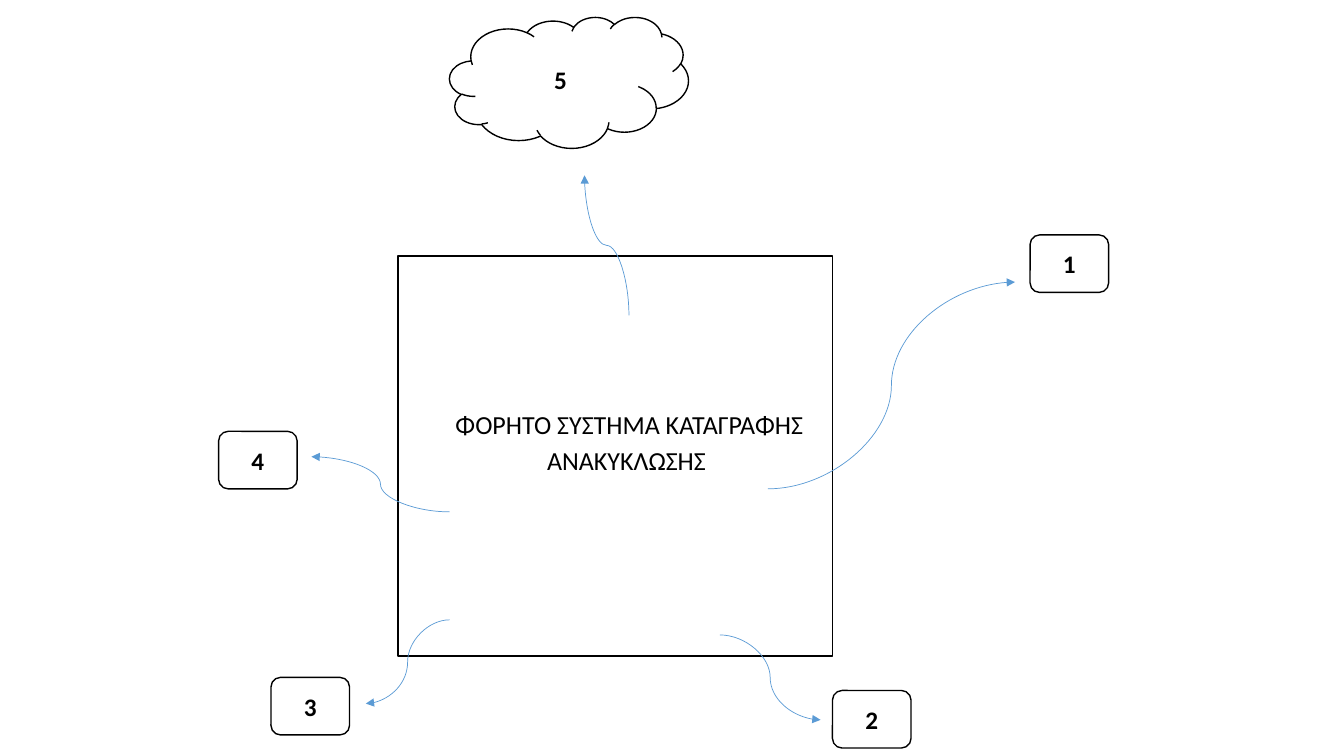
import pptx
import pptx.util
import pptx.dml.color
import pptx.enum.shapes
import pptx.enum.text
import pptx.oxml
import pptx.oxml.ns

Cm = pptx.util.Cm
Pt = pptx.util.Pt
SHAPE = pptx.enum.shapes.MSO_SHAPE
qn = pptx.oxml.ns.qn


def rgb(value):
    return pptx.dml.color.RGBColor.from_string(value)


class Diagram:
    font = "Calibri"
    ink = "000000"
    paper = "FFFFFF"
    accent = "5B9BD5"

    def __init__(self, prs):
        self.s = prs.slides.add_slide(prs.slide_layouts[0])
        title = self.s.shapes.title.element
        title.getparent().remove(title)

    def style(self, p, size, bold=False):
        p.alignment = pptx.enum.text.PP_ALIGN.CENTER
        p.font.name = self.font
        p.font.size = Pt(size)
        p.font.bold = bold
        p.font.color.rgb = rgb(self.ink)

    def box(self, kind, x, y, w, h, label=None):
        sp = self.s.shapes.add_shape(kind, Cm(x), Cm(y), Cm(w), Cm(h))
        sp.shadow.inherit = False
        sp.fill.solid()
        sp.fill.fore_color.rgb = rgb(self.paper)
        sp.line.color.rgb = rgb(self.ink)
        sp.line.width = Pt(1)
        if label:
            tf = sp.text_frame
            tf.vertical_anchor = pptx.enum.text.MSO_ANCHOR.MIDDLE
            tf.text = label
            self.style(tf.paragraphs[0], 18, bold=True)

    def caption(self, x, y, w, h, lines):
        sp = self.s.placeholders[1]
        sp.left, sp.top, sp.width, sp.height = Cm(x), Cm(y), Cm(w), Cm(h)
        self.s.shapes.element.append(sp.element)
        tf = sp.text_frame
        tf.word_wrap = True
        tf.auto_size = pptx.enum.text.MSO_AUTO_SIZE.NONE
        tf.vertical_anchor = pptx.enum.text.MSO_ANCHOR.TOP
        tf.text = "\n".join(lines)
        for p in tf.paragraphs:
            self.style(p, 18.6)
            p.line_spacing = 0.7
            p.space_before = Pt(10)

    def arrow(self, start, end, upright=False):
        if upright:
            cx, cy = (start[0] + end[0]) / 2, (start[1] + end[1]) / 2
            start, end = [(cx - (y - cy), cy + (x - cx)) for x, y in (start, end)]
        cxn = self.s.shapes.add_connector(
            pptx.enum.shapes.MSO_CONNECTOR.CURVE, *[Cm(v) for v in (*start, *end)])
        cxn.line.color.rgb = rgb(self.accent)
        cxn.line.width = Pt(0.5)
        spPr = cxn.element.spPr
        if upright:
            spPr.find(qn("a:xfrm")).set("rot", str(270 * 60000))
        tail = pptx.oxml.parse_xml(
            '<a:tailEnd %s type="triangle"/>' % pptx.oxml.ns.nsdecls("a"))
        spPr.find(qn("a:ln")).append(tail)
        spPr.append(pptx.oxml.parse_xml(
            "<a:effectLst %s/>" % pptx.oxml.ns.nsdecls("a")))


def main():
    prs = pptx.Presentation()
    prs.slide_width, prs.slide_height = Cm(33.87), Cm(19.05)
    d = Diagram(prs)

    d.box(SHAPE.RECTANGLE, 10.03, 6.45, 10.95, 10.08)
    d.caption(10.24, 10.39, 11.25, 1.78,
              ["ΦΟΡΗΤΟ ΣΥΣΤΗΜΑ ΚΑΤΑΓΡΑΦΗΣ", "ΑΝΑΚΥΚΛΩΣΗΣ "])

    corners = [(25.96, 5.92), (20.98, 17.4), (6.83, 17.07), (5.51, 10.87)]
    for number, (x, y) in enumerate(corners, 1):
        d.box(SHAPE.FLOWCHART_ALTERNATE_PROCESS, x, y, 1.98, 1.45, str(number))
    d.box(SHAPE.CLOUD, 11.33, 0.43, 6.02, 3.3, "5")

    d.arrow((19.35, 12.32), (25.58, 7.11))
    d.arrow((18.14, 16), (20.68, 18.14))
    d.arrow((11.33, 15.62), (9.22, 17.73))
    d.arrow((11.33, 12.9), (7.85, 11.51))
    d.arrow((15.85, 7.95), (14.73, 4.42), upright=True)

    prs.save("out.pptx")


if __name__ == "__main__":
    main()
